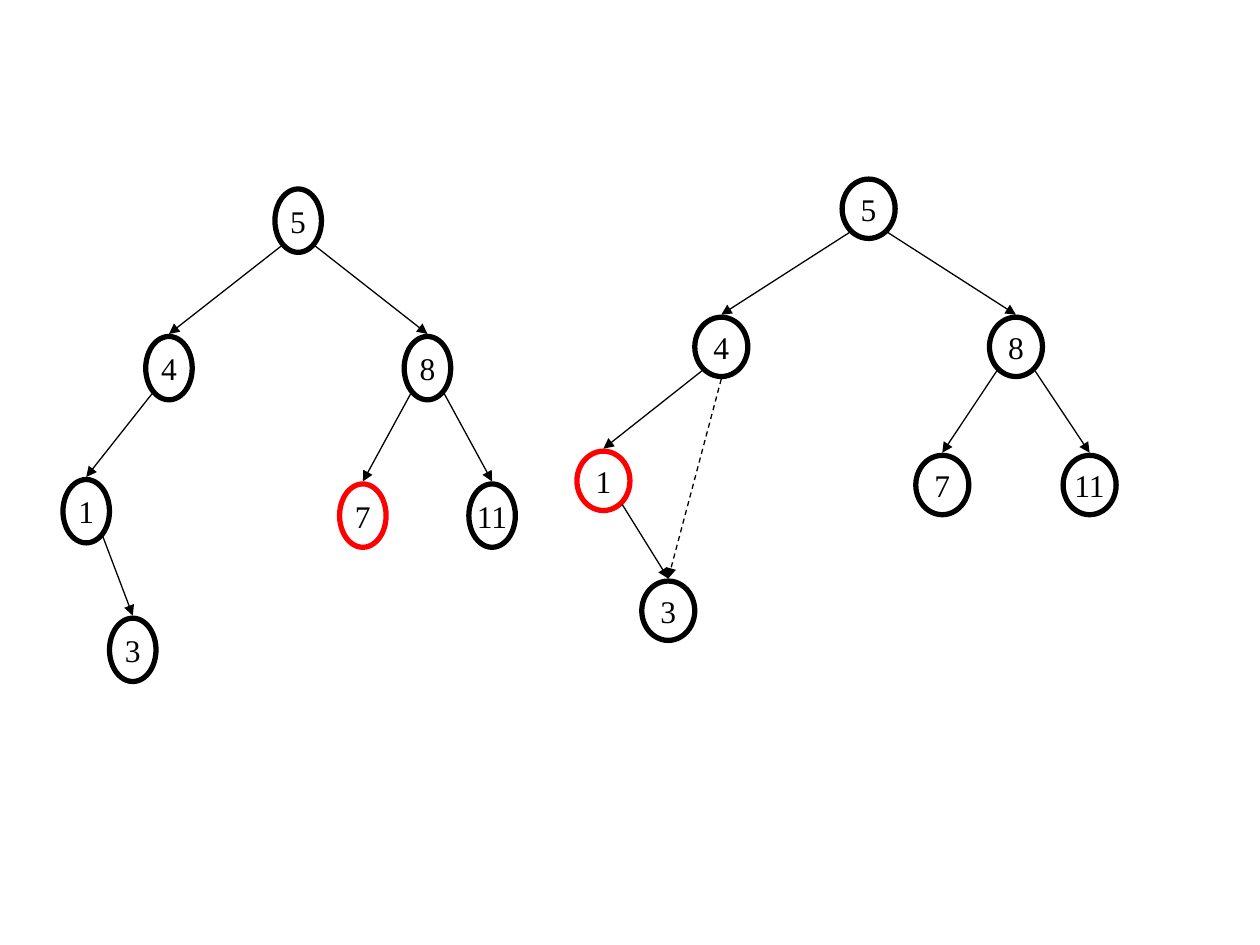
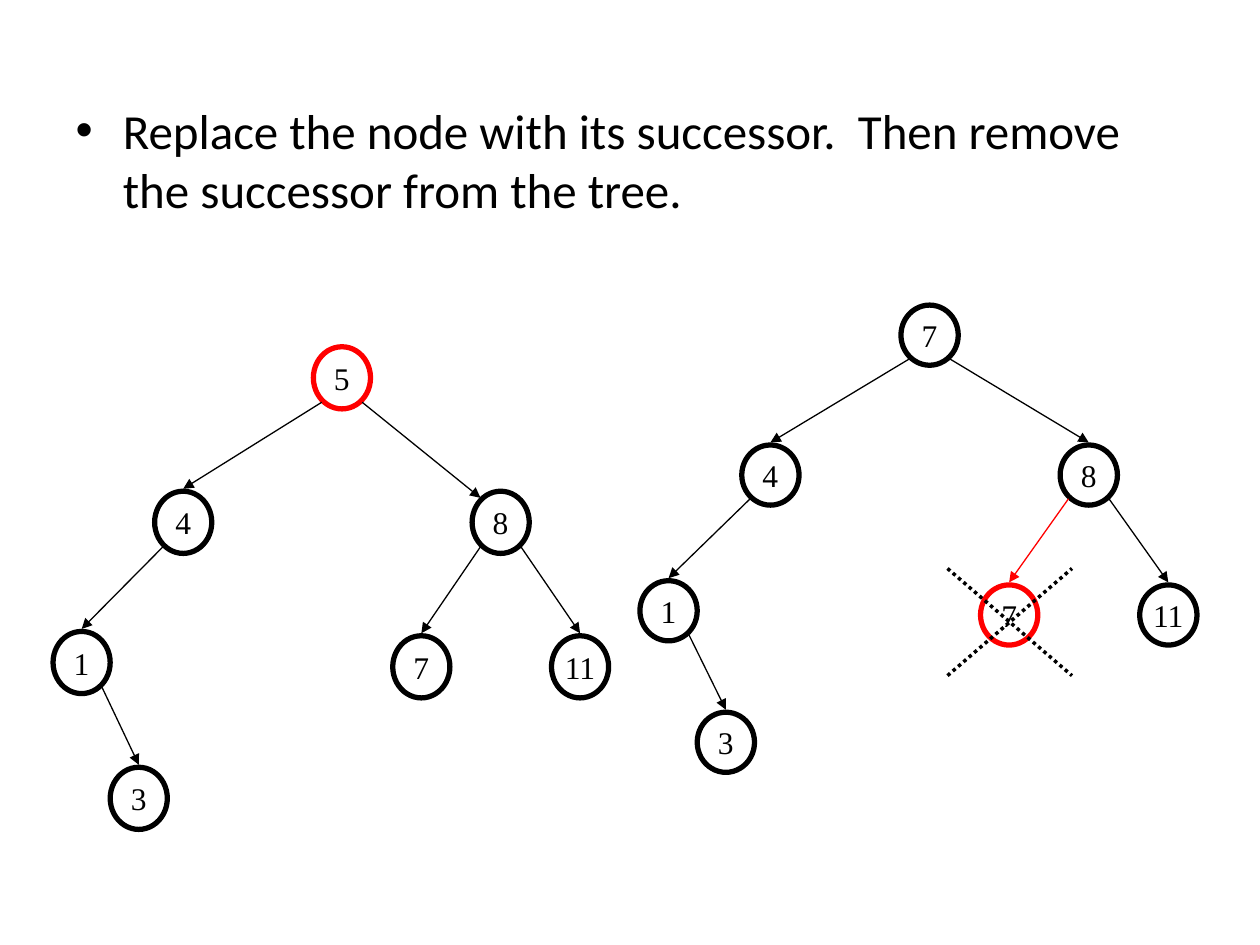
from pptx import Presentation
from pptx import util as u
from pptx.dml import color
from pptx.enum import dml, shapes, text
from pptx.oxml import ns
from lxml import etree

BLACK, RED, WHITE = "000000", "FF0000", "FFFFFF"
DASH, DOTS = dml.MSO_LINE.DASH, dml.MSO_LINE.ROUND_DOT
GAP = 0.05   # space between a node and its edges, cm
WIDE, TALL = 0.36, 0.43   # node size in column and row steps
DIAG = 0.3535   # offset of a 45 degree point on an oval

LABELS = dict(tip="3", outer="11", inner="7", low="1",
              right="8", left="4", root="5")
EDGES = [("root", "left"), ("root", "right"), ("right", "inner"),
         ("right", "outer"), ("left", "low"), ("low", "tip")]


def paint(part, tone):
    part.solid()
    part.fore_color.rgb = color.RGBColor.from_string(tone)


def draw_node(group, label, mid, size, tone, fill):
    (x, y), (w, h) = mid, size
    node = group.shapes.add_shape(
        shapes.MSO_SHAPE.OVAL, u.Cm(x - w / 2), u.Cm(y - h / 2), u.Cm(w), u.Cm(h))
    node.shadow.inherit = False
    if fill:
        paint(node.fill, fill)
    else:
        node.fill.background()
    paint(node.line.fill, tone)
    node.line.width = u.Pt(3)
    frame = node.text_frame
    frame.text = label
    frame.word_wrap = False
    frame.vertical_anchor = text.MSO_ANCHOR.MIDDLE
    par = frame.paragraphs[0]
    par.alignment = text.PP_ALIGN.CENTER
    font = par.runs[0].font
    font.name, font.size = "Times New Roman", u.Pt(18)
    paint(font.fill, BLACK)


def draw_line(group, start, end, tone=BLACK, width=0.75, dash=None, arrow=True):
    line = group.shapes.add_connector(
        shapes.MSO_CONNECTOR.STRAIGHT, *(u.Cm(v) for v in (*start, *end)))
    paint(line.line.fill, tone)
    line.line.width = u.Pt(width)
    if dash:
        line.line.dash_style = dash
    if arrow:
        tail = etree.SubElement(line.line._get_or_add_ln(), ns.qn("a:tailEnd"))
        tail.set("type", "triangle")
    etree.SubElement(line._element.spPr, ns.qn("a:effectLst"))


def draw_tree(slide, box, labels=LABELS, red=(), fill=None,
              lean=0.64, kick=0.36, corner=(), bypass=False):
    """Lean and kick: steps from left to low and from low to tip."""
    x, y, w, h = box
    col, row = w / (lean + 2.5 + WIDE), h / (2.91 + TALL)
    size = wide, tall = WIDE * col, TALL * row
    places = dict(tip=(kick, 2.91), outer=(lean + 2.5, 2), inner=(lean + 1.5, 2),
                  low=(0, 1.97), right=(lean + 2, 1), left=(lean, 1),
                  root=(lean + 1, 0))
    mids = {key: (x + a * col + wide / 2, y + b * row + tall / 2)
            for key, (a, b) in places.items()}
    group = slide.shapes.add_group_shape()

    # Nodes
    for key, mid in mids.items():
        draw_node(group, labels[key], mid, size, RED if key in red else BLACK, fill)

    # Edges run from a lower corner of the parent to the top of the child
    for edge in EDGES:
        (px, py), (cx, cy) = (mids[key] for key in edge)
        side = 1 if cx > px else -1
        start = px + side * DIAG * wide, py + DIAG * tall + GAP
        end = cx, cy - tall / 2 - GAP
        if edge in corner:
            end = cx - side * DIAG * wide, cy - DIAG * tall - GAP
        draw_line(group, start, end, RED if edge in red else BLACK)

    # New link around the removed node
    if bypass:
        (px, py), (cx, cy) = mids["left"], mids["tip"]
        draw_line(group, (px, py + tall / 2 + GAP), (cx, cy - tall / 2 - GAP),
                  dash=DASH)
    return group


def draw_cross(group, box):
    x, y, w, h = box
    for top, base in ((y, y + h), (y + h, y)):
        draw_line(group, (x, top), (x + w, base), width=2, dash=DOTS, arrow=False)


def fill_body(slide, box, words):
    title = slide.shapes.title
    title._element.getparent().remove(title._element)
    body = slide.placeholders[1]
    body.left, body.top, body.width, body.height = (u.Cm(v) for v in box)
    paint(body.fill, WHITE)
    body.text_frame.text = words
    font = body.text_frame.paragraphs[0].runs[0].font
    font.name, font.size = "Calibri", u.Pt(28)
    paint(font.fill, BLACK)


deck = Presentation()
deck.slide_width, deck.slide_height = u.Cm(25.4), u.Cm(19.05)

# Slide 1: removing a leaf and a node with one child
first = deck.slides.add_slide(deck.slide_layouts[6])
draw_tree(first, (1.27, 3.81, 9.12, 9.93), red=["inner"], fill=WHITE)
draw_tree(first, (11.63, 3.61, 10.87, 9.3), red=["low"],
          lean=0.8, kick=0.44, bypass=True)

# Slide 2: removing a node with two children
second = deck.slides.add_slide(deck.slide_layouts[1])
fill_body(second, (1.27, 1.9, 22.86, 15.11),
          "Replace the node with its successor.  "
          "Then remove the successor from the tree.")
draw_tree(second, (1.07, 6.99, 11.2, 9.73), red=["root"],
          corner=[("root", "right")])
after = draw_tree(second, (12.9, 6.15, 11.23, 9.42), {**LABELS, "root": "7"},
                  red=["inner", ("right", "inner")])
draw_cross(after, (19.1, 11.46, 2.51, 2.16))

deck.save("out.pptx")
